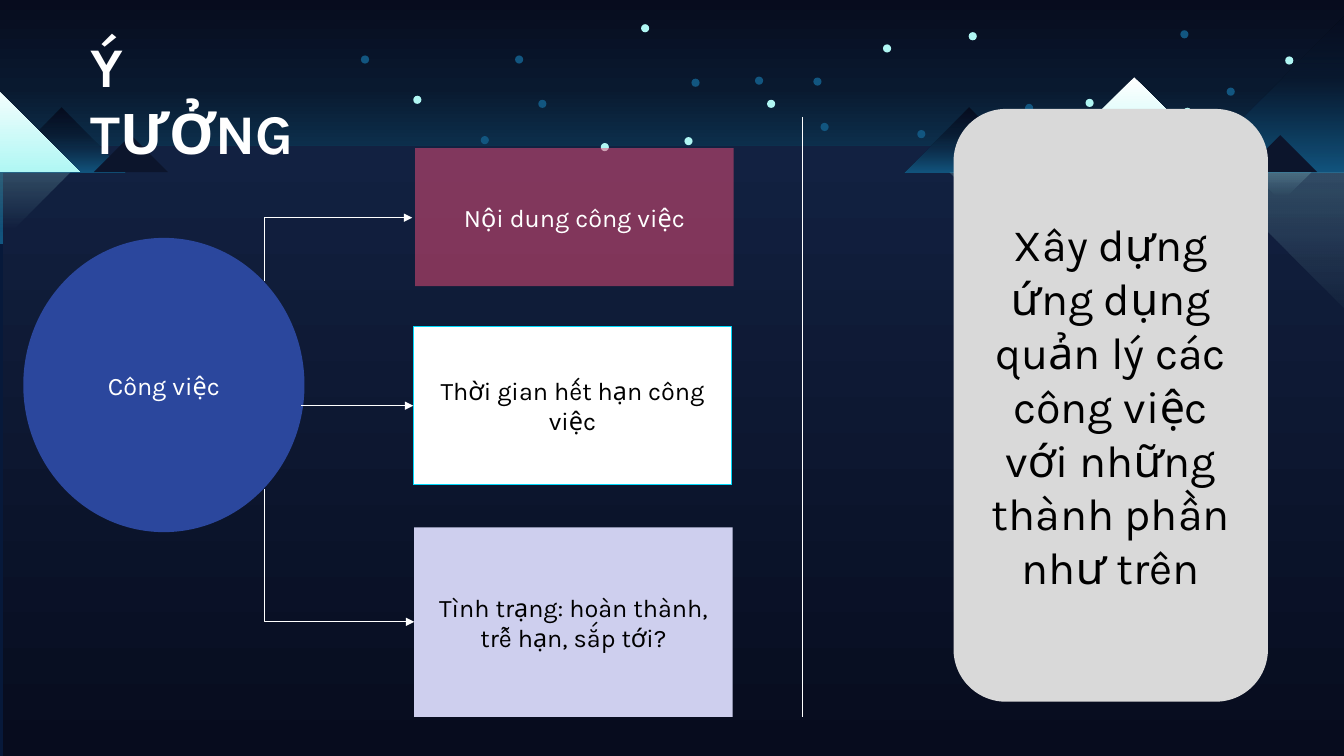
"""Build the project idea slide: a task and its three parts on a night landscape."""
import pptx
import pptx.dml.color
import pptx.enum.shapes
import pptx.enum.text
import pptx.oxml
import pptx.oxml.ns
import pptx.util

Pt = pptx.util.Pt
SHAPE = pptx.enum.shapes.MSO_SHAPE
CONNECTOR = pptx.enum.shapes.MSO_CONNECTOR
ALIGN = pptx.enum.text.PP_ALIGN
FONT = "Karla"
HORIZON = 123
STAR_SIZE = 5.8

COLOURS = {
    "base": "07193A", "midnight": "070C1E", "dusk": "09192F", "teal": "125680",
    "navy": "122141", "hill": "0C152C", "ice": "B0F7F4", "white": "FFFFFF",
    "black": "000000", "blue": "2B479D", "pink": "F14E79", "cyan": "00D9FB",
    "lavender": "CECFEE", "grey": "D9D9D9",
}
GRADIENTS = {
    "sky": (270, [(0, "midnight", 100), (36, "dusk", 100), (100, "teal", 100)]),
    "water": (270, [(0, "navy", 100), (100, "midnight", 100)]),
    "night": (270, [(0, "midnight", 100), (43, "dusk", 73), (100, "teal", 100)]),
    "snow": (270, [(0, "white", 100), (100, "ice", 100)]),
    "reflection": (90, [(22, "ice", 0), (100, "ice", 20)]),
}
BACKDROP = [("sky", (0, 0, 960, 174.2)), ("water", (2.2, 104.4, 960, 435.6))]
PEAKS = [
    ("night", 849, 236), ("night", 646.5, 92), ("snow", 742.5, 135.5),
    ("hill", 888, 53), ("night", -2, 92), ("snow", -78.5, 135.5), ("hill", 67, 53),
    ("reflection", -52.5, 103), ("reflection", 678, 55.5),
    ("reflection", 863, 286), ("reflection", 894, 42.5),
]
STARS = {
    "ice": [(429.1, 102.2), (691.9, 23), (488.9, 97.9), (295.2, 68.4), (457.9, 17.3),
            (547.9, 71.3), (918, 40.3), (775.4, 70.6), (845.3, 77), (630.7, 31.7)],
    "teal": [(384.5, 71.3), (539.3, 54.7), (493.9, 56.2), (655.2, 92.9),
             (367.9, 39.6), (343.4, 97.2), (732.2, 74.2), (876.2, 62.6),
             (843.1, 21.6), (586.1, 87.8), (581, 55.4), (257.8, 39.6)],
}
TITLE = ("Ý TƯỞNG", (64.8, 46.1, 168, 48.2))
TASK = ("Công việc", SHAPE.OVAL, (16.6, 169.9, 200.9, 210.2), "blue", "white", 18)
CONTENT = ("Nội dung công việc", SHAPE.RECTANGLE,
           (296.6, 105.8, 227.5, 98.6), "pink", "white", 18)
DEADLINE = ("Thời gian hết hạn công việc", SHAPE.RECTANGLE,
            (295.2, 233.3, 227.5, 113), "white", "black", 18)
STATUS = ("Tình trạng: hoàn thành, trễ hạn, sắp tới?", SHAPE.RECTANGLE,
          (295.9, 376.6, 227.5, 135.4), "lavender", "black", 18)
SUMMARY = ("Xây dựng ứng dụng quản lý các công việc với những thành phần như trên",
           SHAPE.ROUNDED_RECTANGLE, (681.1, 77.8, 224.6, 423.4), "grey", "black", 32)
ELBOWS = [((188.6, 200.9), (294.5, 155.5)), ((188.6, 349.2), (295.9, 444.2))]
DEADLINE_START = (215.3, 289.8)
DIVIDER = ((573.1, 83.5), (573.1, 511.9))


def rgb(name):
    return pptx.dml.color.RGBColor.from_string(COLOURS[name])


def element(markup):
    return pptx.oxml.parse_xml(markup.replace("/>", f' {pptx.oxml.ns.nsdecls("a")}/>', 1))


def paint(shape, name):
    shape.shadow.inherit = False
    shape.line.fill.background()
    if name not in GRADIENTS:
        shape.fill.solid()
        shape.fill.fore_color.rgb = rgb(name)
        return
    angle, stops = GRADIENTS[name]
    shape.fill.gradient()
    shape.fill.gradient_angle = angle
    stop_list = shape.element.spPr.find(".//" + pptx.oxml.ns.qn("a:gsLst"))
    for old_stop in list(stop_list):
        stop_list.remove(old_stop)
    for position, colour, opacity in stops:
        stop_list.append(pptx.oxml.parse_xml(
            f'<a:gs {pptx.oxml.ns.nsdecls("a")} pos="{position * 1000}">'
            f'<a:srgbClr val="{COLOURS[colour]}"><a:alpha val="{opacity * 1000}"/>'
            '</a:srgbClr></a:gs>'))


def add_shape(slide, kind, box, fill):
    shape = slide.shapes.add_shape(kind, *map(Pt, box))
    paint(shape, fill)
    return shape


def write(shape, text, size, colour, align, bold=False):
    frame = shape.text_frame
    frame.word_wrap = True
    frame.vertical_anchor = pptx.enum.text.MSO_ANCHOR.MIDDLE
    paragraph = frame.paragraphs[0]
    paragraph.alignment = align
    run = paragraph.add_run()
    run.text = text
    run.font.name, run.font.size, run.font.bold = FONT, Pt(size), bold
    run.font.color.rgb = rgb(colour)


def add_card(slide, card):
    text, kind, box, fill, colour, size = card
    shape = add_shape(slide, kind, box, fill)
    write(shape, text, size, colour, ALIGN.CENTER)
    return shape


def add_peak(slide, fill, left, width):
    rise = width / 2 if fill == "reflection" else -width / 2
    builder = slide.shapes.build_freeform(Pt(left), Pt(HORIZON))
    builder.add_line_segments([(Pt(left + width), Pt(HORIZON)),
                               (Pt(left + width / 2), Pt(HORIZON + rise))])
    paint(builder.convert_to_shape(), fill)


def add_line(slide, start, end, arrow=True, kind=CONNECTOR.STRAIGHT):
    connector = slide.shapes.add_connector(kind, *map(Pt, start + end))
    connector.line.color.rgb = rgb("white")
    connector.line.width = Pt(0.5)
    if arrow:
        connector.line.fill
        connector.element.spPr.find(pptx.oxml.ns.qn("a:ln")).append(
            element('<a:tailEnd type="triangle"/>'))
    connector.element.spPr.append(element("<a:effectLst/>"))
    return connector


def add_elbow(slide, start, end):
    (x1, y1), (x2, y2) = start, end
    middle_x, middle_y = (x1 + x2) / 2, (y1 + y2) / 2
    half_width, half_height = abs(y2 - y1) / 2, (x2 - x1) / 2
    upward = y2 < y1
    side = 1 if upward else -1
    connector = add_line(
        slide, (middle_x + half_width, middle_y + side * half_height),
        (middle_x - half_width, middle_y - side * half_height), kind=CONNECTOR.ELBOW)
    properties = connector.element.spPr
    properties.find(pptx.oxml.ns.qn("a:xfrm")).set("rot", "5400000" if upward else "16200000")
    properties.find(pptx.oxml.ns.qn("a:prstGeom")).set("prst", "bentConnector2")


def main():
    presentation = pptx.Presentation()
    presentation.slide_width, presentation.slide_height = Pt(960), Pt(540)
    slide = presentation.slides.add_slide(presentation.slide_layouts[6])
    slide.background.fill.solid()
    slide.background.fill.fore_color.rgb = rgb("base")
    for fill, box in BACKDROP:
        add_shape(slide, SHAPE.RECTANGLE, box, fill)
    for peak in PEAKS:
        add_peak(slide, *peak)
    for colour, places in STARS.items():
        for left, top in places:
            add_shape(slide, SHAPE.OVAL, (left, top, STAR_SIZE, STAR_SIZE), colour)

    text, box = TITLE
    title = slide.shapes.add_textbox(*map(Pt, box))
    frame = title.text_frame
    frame.margin_left = frame.margin_top = frame.margin_right = frame.margin_bottom = 0
    write(title, text, 40, "white", ALIGN.LEFT, bold=True)

    add_card(slide, TASK)
    content = add_card(slide, CONTENT)
    content.element.spPr.find(".//" + pptx.oxml.ns.qn("a:srgbClr")).append(
        element('<a:alpha val="50000"/>'))
    deadline = add_card(slide, DEADLINE)
    deadline.line.color.rgb = rgb("cyan")
    deadline.line.width = Pt(1)
    add_card(slide, STATUS)
    for start, end in ELBOWS:
        add_elbow(slide, start, end)
    left = DEADLINE[2][0]
    add_line(slide, DEADLINE_START, (left, DEADLINE_START[1])).end_connect(deadline, 1)
    add_line(slide, *DIVIDER, arrow=False)
    add_card(slide, SUMMARY)
    presentation.save("out.pptx")


if __name__ == "__main__":
    main()
